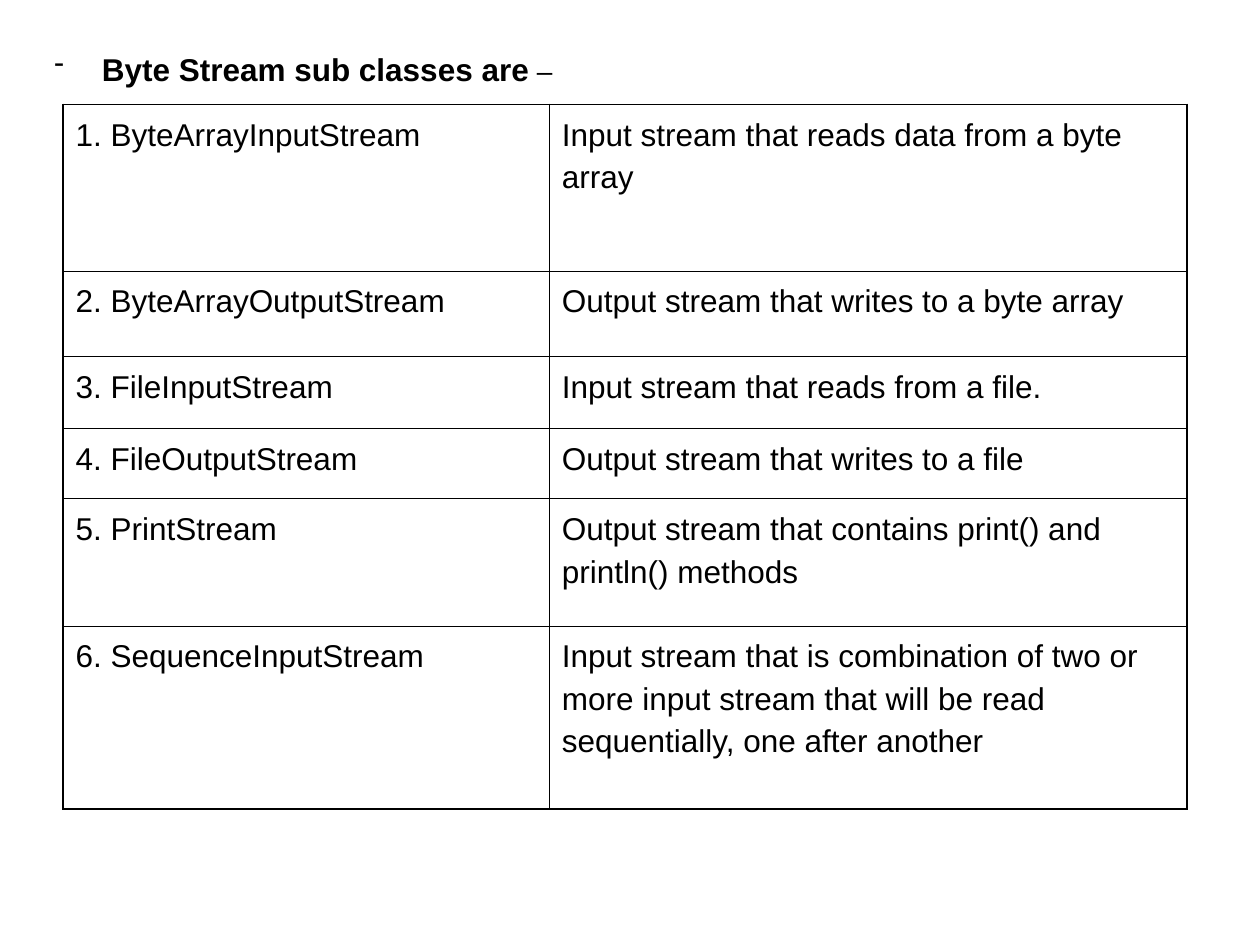
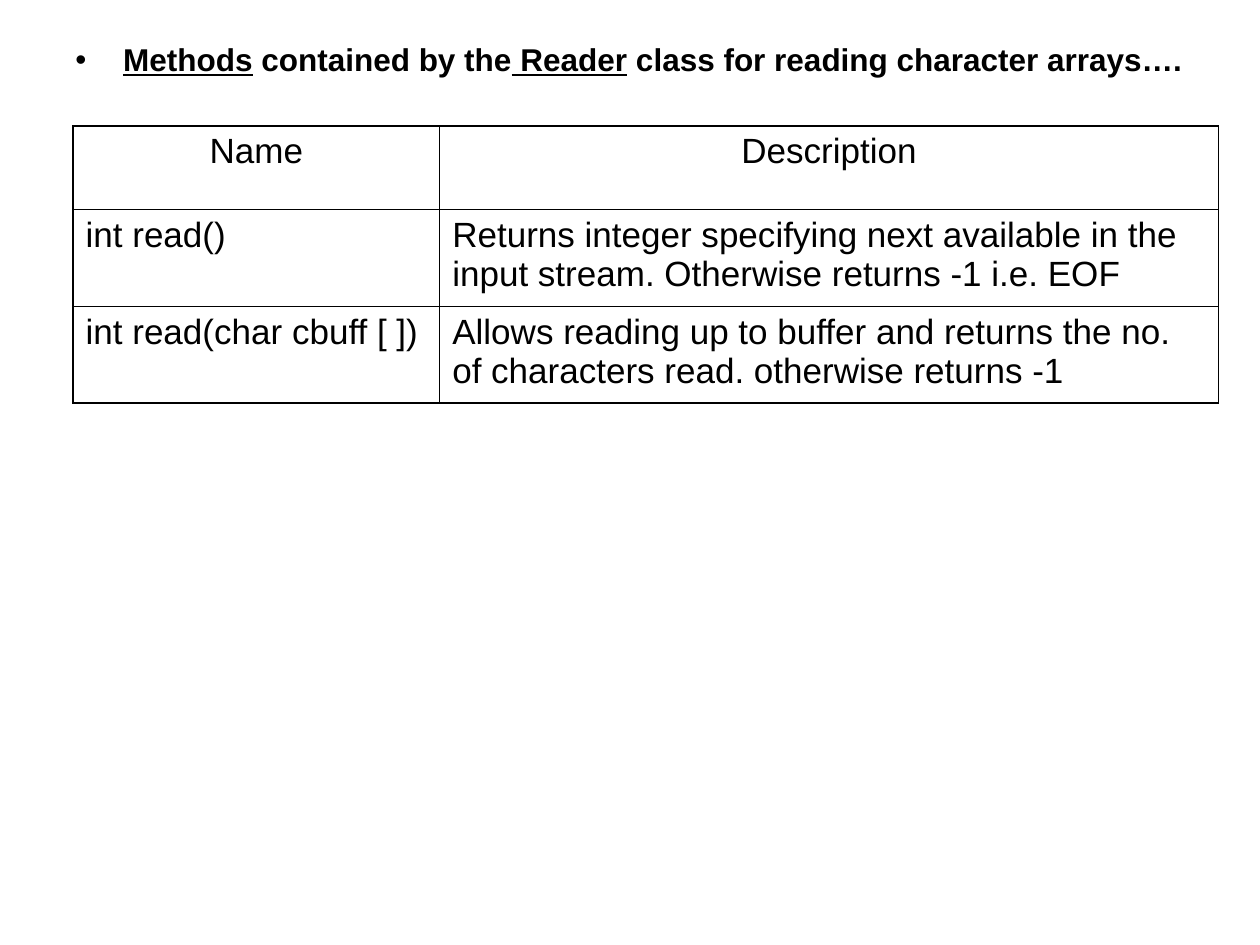
from lxml.etree import SubElement
from pptx import Presentation
from pptx.dml.color import RGBColor
from pptx.enum.text import PP_ALIGN as Align
from pptx.oxml.ns import qn
from pptx.util import Inches, Pt

INK = "000000"
OUTER, INNER = Pt(1.08), Pt(0.45)


def rgb(hex_value):
    return RGBColor.from_string(hex_value)


def add_run(paragraph, text, **font_format):
    run = paragraph.add_run()
    run.text = text
    run.font.color.rgb = rgb(INK)
    for name, value in {"name": "Arial", **font_format}.items():
        setattr(run.font, name, value)


topics = [
    {
        "heading_at": (0.33, 0.17, 9.42, 0.58),
        "heading_inset": 0.09,
        "bullet": "-",
        "heading": [
            ("Byte Stream sub classes are", {"size": Pt(18), "bold": True}),
            (" –", {"size": Pt(16)}),
            (" ", {"size": Pt(28)}),
        ],
        "table_at": (0.5, 0.83, 8.92, 5.58),
        "columns": (3.86, 5.06),
        "row_heights": (1.32, 0.68, 0.57, 0.56, 1.01, 1.45),
        "text_size": 18,
        "line_spacing": 1.2,
        "has_header": False,
        "rows": [
            ("1. ByteArrayInputStream", "Input stream that reads data from a byte array"),
            ("2. ByteArrayOutputStream", "Output stream that writes to a byte array"),
            ("3. FileInputStream", "Input stream that reads from a file."),
            ("4. FileOutputStream", "Output stream that writes to a file"),
            ("5. PrintStream", "Output stream that contains print() and println() methods"),
            ("6. SequenceInputStream",
             "Input stream that is combination of two or more input stream "
             "that will be read sequentially, one after another"),
        ],
    },
    {
        "heading_at": (0.5, 0.25, 9.17, 0.58),
        "heading_inset": 0.07,
        "bullet": "•",
        "heading": [
            ("Methods", {"size": Pt(18), "bold": True, "underline": True}),
            (" contained by the", {"size": Pt(18), "bold": True}),
            (" Reader", {"size": Pt(18), "bold": True, "underline": True}),
            (" class for reading character arrays….", {"size": Pt(18), "bold": True}),
        ],
        "table_at": (0.58, 1, 9.08, 2.2),
        "columns": (2.91, 6.18),
        "row_heights": (0.66, 0.77, 0.77),
        "text_size": 20,
        "line_spacing": 1.0,
        "has_header": True,
        "rows": [
            ("Name", "Description"),
            ("int read()",
             "Returns integer specifying next available in the input stream. "
             "Otherwise returns -1 i.e. EOF"),
            ("int read(char cbuff [ ])",
             "Allows reading up to buffer and returns the no. of characters read. "
             "otherwise returns -1"),
        ],
    },
]

deck = Presentation()
deck.slide_width, deck.slide_height = Inches(10), Inches(7.5)

for topic in topics:
    slide = deck.slides.add_slide(deck.slide_layouts[6])

    heading_frame = slide.shapes.add_textbox(*map(Inches, topic["heading_at"])).text_frame
    heading_frame.word_wrap = True
    heading_frame.margin_top = Inches(topic["heading_inset"])
    heading = heading_frame.paragraphs[0]
    indents = heading._p.get_or_add_pPr()
    indents.set("marL", str(Inches(0.38)))
    indents.set("indent", str(-Inches(0.38)))
    bullet_color = SubElement(indents, qn("a:buClr"))
    SubElement(bullet_color, qn("a:srgbClr"), val=INK)
    SubElement(indents, qn("a:buFont"), typeface="Arial")
    SubElement(indents, qn("a:buChar"), char=topic["bullet"])
    for text, font_format in topic["heading"]:
        add_run(heading, text, **font_format)

    rows = topic["rows"]
    last_row, last_column = len(rows) - 1, len(topic["columns"]) - 1
    methods = slide.shapes.add_table(
        len(rows), len(topic["columns"]), *map(Inches, topic["table_at"])).table
    methods.first_row = topic["has_header"]
    methods.horz_banding = False
    for column, width in zip(methods.columns, topic["columns"]):
        column.width = Inches(width)
    for row, height in zip(methods.rows, topic["row_heights"]):
        row.height = Inches(height)

    for r, row_texts in enumerate(rows):
        for c, text in enumerate(row_texts):
            cell = methods.cell(r, c)
            borders = {"L": c == 0, "R": c == last_column, "T": r == 0, "B": r == last_row}
            for side, is_outer in borders.items():
                line = SubElement(cell._tc.get_or_add_tcPr(), qn(f"a:ln{side}"),
                                  w=str(OUTER if is_outer else INNER))
                SubElement(SubElement(line, qn("a:solidFill")), qn("a:srgbClr"), val=INK)
            cell.fill.background()
            entry = cell.text_frame.paragraphs[0]
            is_header = topic["has_header"] and r == 0
            entry_format = {
                "alignment": Align.CENTER if is_header else Align.LEFT,
                "line_spacing": topic["line_spacing"],
            }
            for name, value in entry_format.items():
                setattr(entry, name, value)
            add_run(entry, text, size=Pt(topic["text_size"]), bold=False)

deck.save("out.pptx")
